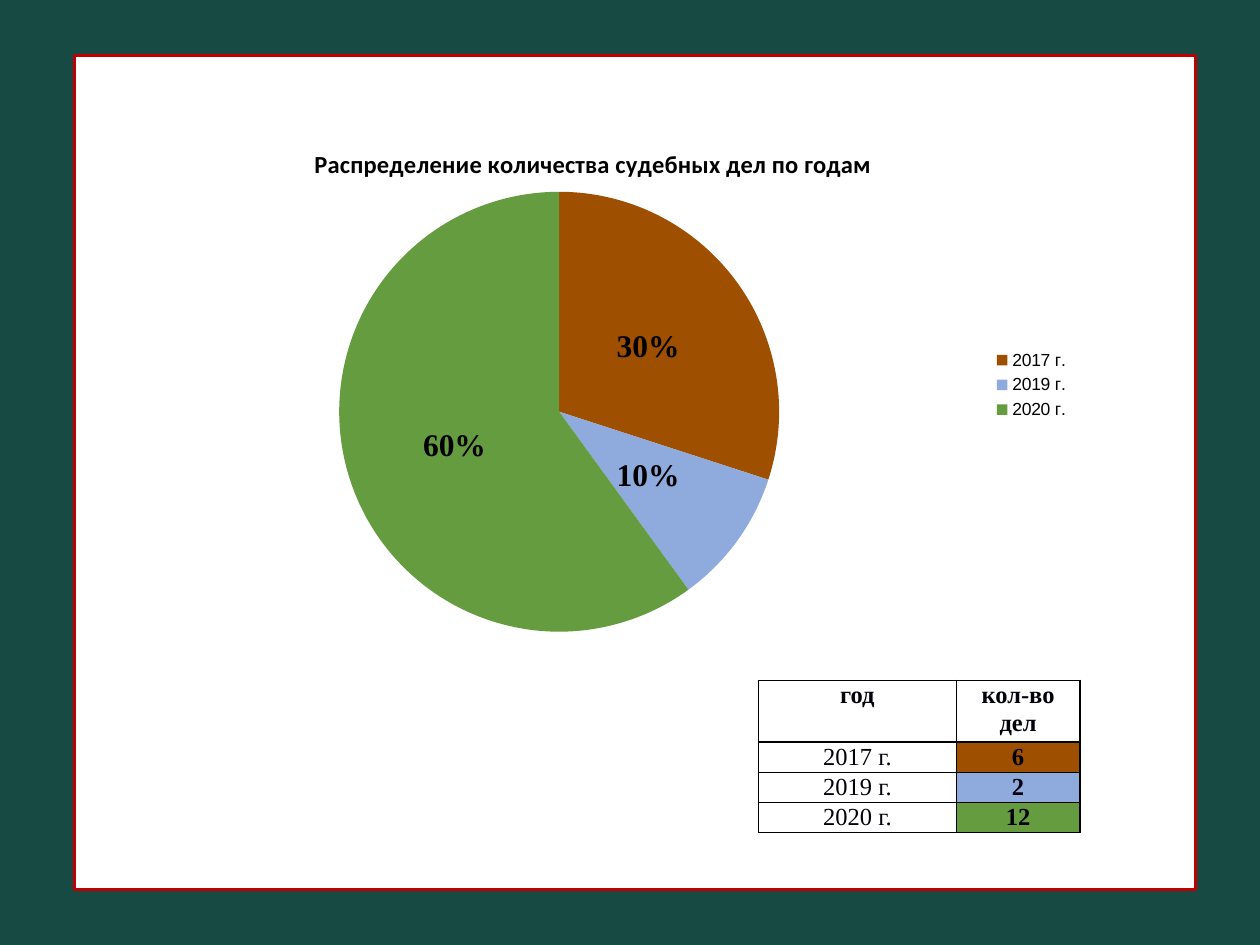
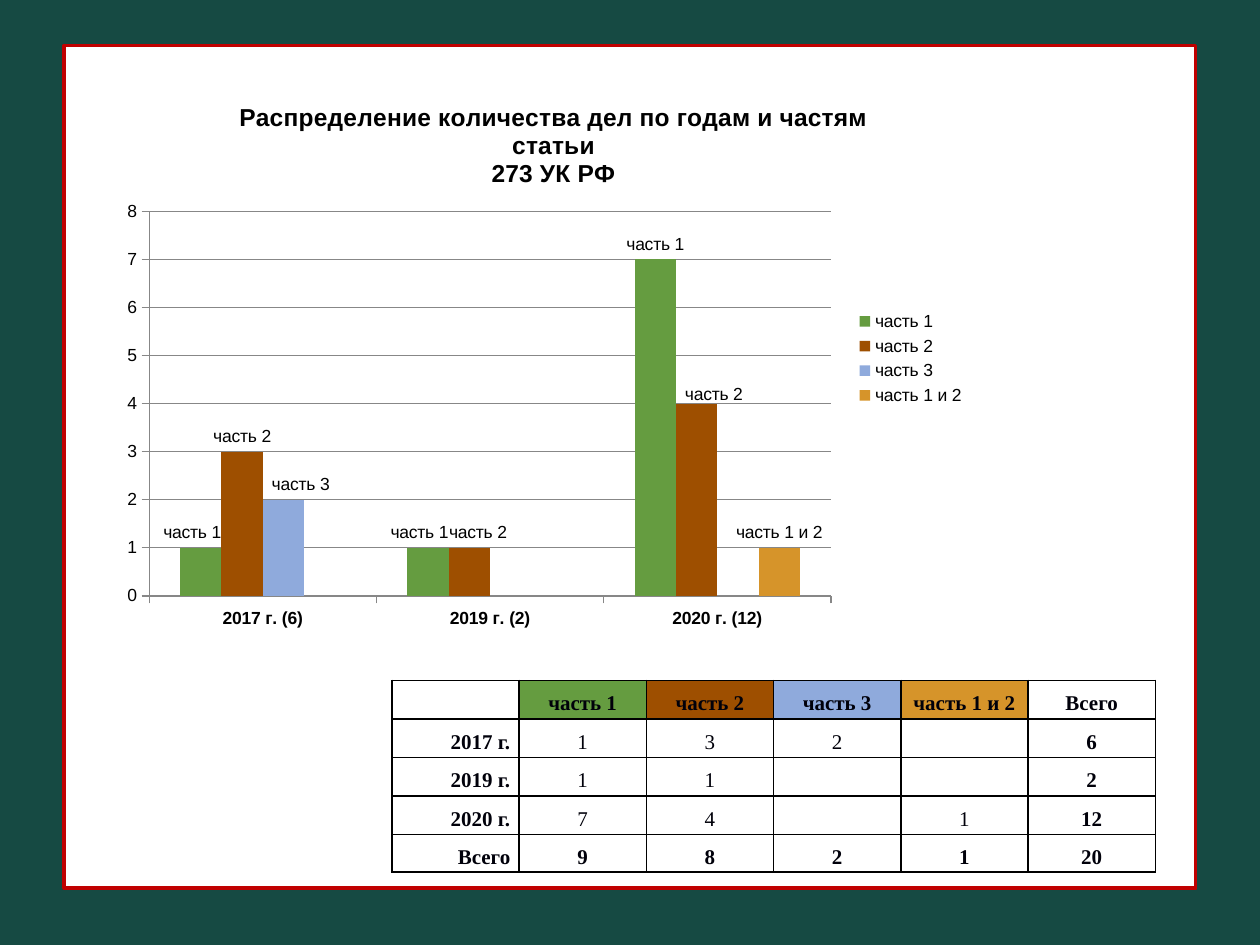
from dataclasses import dataclass

from lxml import etree
from pptx import Presentation
from pptx.chart.data import CategoryChartData
from pptx.dml.color import RGBColor
from pptx.enum import chart as ch, shapes, text
from pptx.oxml import ns
from pptx.util import Inches, Pt


@dataclass(frozen=True)
class Theme:
    background: str = "164A43"
    panel: str = "FFFFFF"
    frame: str = "C00000"
    ink: str = "000000"
    table_ink: str = "00000A"
    axis: str = "878787"
    brown: str = "9E4F00"
    blue: str = "8FAADC"
    green: str = "659C40"
    amber: str = "D6942A"
    sans: str = "Arial"
    title_sans: str = "Calibri"
    serif: str = "Times New Roman"
    small: int = 10
    body: int = 12
    title: int = 14
    percent: int = 18


THEME = Theme()
CENTER, RIGHT = text.PP_ALIGN.CENTER, text.PP_ALIGN.RIGHT
YEARS = ["2017 г.", "2019 г.", "2020 г."]
YEAR_COLORS = [THEME.brown, THEME.blue, THEME.green]
CASES = [6, 2, 12]
PARTS = {
    "часть 1": (THEME.green, [1, 1, 7]),
    "часть 2": (THEME.brown, [3, 1, 4]),
    "часть 3": (THEME.blue, [2, None, None]),
    "часть 1 и 2": (THEME.amber, [None, None, 1]),
}
# (part, year index): label shift as fractions of the chart's size
LABEL_SHIFTS = {
    ("часть 1", 0): (-0.01, 0), ("часть 3", 0): (0.02, 0),
    ("часть 1", 1): (-0.01, 0), ("часть 2", 1): (0.01, 0),
    ("часть 2", 2): (0.02, 0.01),
}


def rgb(value):
    return RGBColor.from_string(value)


def paint(fill, color):
    fill.solid()
    fill.fore_color.rgb = rgb(color)


def style_font(font, size, name=THEME.sans, color=THEME.ink, bold=False):
    for key, value in dict(size=Pt(size), name=name, bold=bold).items():
        setattr(font, key, value)
    font.color.rgb = rgb(color)


def add_panel_slide(prs, left, top, width, height):
    slide = prs.slides.add_slide(prs.slide_layouts[6])
    paint(slide.background.fill, THEME.background)
    panel = slide.shapes.add_shape(
        shapes.MSO_SHAPE.RECTANGLE, *map(Inches, (left, top, width, height)))
    panel.shadow.inherit = False
    paint(panel.fill, THEME.panel)
    panel.line.color.rgb = rgb(THEME.frame)
    panel.line.width = Pt(2)
    return slide


def set_layout(parent, index, **settings):
    """Replace the manual layout of a chart part; settings keep schema order."""
    for old in parent.findall(ns.qn("c:layout")):
        parent.remove(old)
    layout = etree.Element(ns.qn("c:layout"))
    manual = etree.SubElement(layout, ns.qn("c:manualLayout"))
    for key, value in settings.items():
        etree.SubElement(manual, ns.qn(f"c:{key}")).set("val", str(value))
    parent.insert(index, layout)


def add_chart(slide, kind, box, categories, series, title, title_font, title_at, plot_box):
    data = CategoryChartData()
    data.categories = categories
    for name, values in series.items():
        data.add_series(name, values)
    chart = slide.shapes.add_chart(kind, *map(Inches, box), data).chart
    style_font(chart.font, THEME.small)
    chart.has_legend = True
    chart.legend.position = ch.XL_LEGEND_POSITION.RIGHT
    chart.legend.include_in_layout = False
    chart.has_title = True
    chart.chart_title.text_frame.text = title
    for paragraph in chart.chart_title.text_frame.paragraphs:
        paragraph.alignment = CENTER
        for run in paragraph.runs:
            style_font(run.font, THEME.title, title_font, bold=True)
    heading = chart.chart_title._element
    set_layout(heading, 1, xMode="edge", yMode="edge", **dict(zip("xy", title_at)))
    set_layout(chart._chartSpace.chart.plotArea, 0, layoutTarget="inner",
               xMode="edge", yMode="edge", **dict(zip("xywh", plot_box)))
    return chart


def add_year_pie(slide):
    chart = add_chart(
        slide, ch.XL_CHART_TYPE.PIE, (0.83, 0.92, 7.76, 4.27), YEARS,
        {"Series 1": [30, 10, 60]}, "Распределение количества судебных дел по годам",
        THEME.title_sans, (0.21, 0.05), (0.24, 0.14, 0.45, 0.82))
    plot = chart.plots[0]
    for index, color in enumerate(YEAR_COLORS):
        paint(plot.series[0].points[index].format.fill, color)
    plot.has_data_labels = True
    labels = plot.data_labels
    settings = dict(show_percentage=True, show_value=False, number_format="0%",
                    number_format_is_linked=False, position=ch.XL_LABEL_POSITION.CENTER)
    for key, value in settings.items():
        setattr(labels, key, value)
    style_font(labels.font, THEME.percent, THEME.serif, bold=True)


def shift_label(series, year, shift):
    label = series.points[year].data_label
    label.position = ch.XL_LABEL_POSITION.OUTSIDE_END
    node = label._dLbl
    node.find(ns.qn("c:showVal")).set("val", "0")
    node.find(ns.qn("c:showSerName")).set("val", "1")
    set_layout(node, 1, **dict(zip("xy", shift)))


def add_part_columns(slide):
    chart = add_chart(
        slide, ch.XL_CHART_TYPE.COLUMN_CLUSTERED, (0.91, 0.6, 6.85, 4.49),
        [f"{year} ({count})" for year, count in zip(YEARS, CASES)],
        {part: values for part, (_, values) in PARTS.items()},
        "Распределение количества дел по годам и частям статьи\n273 УК РФ",
        THEME.sans, (0.14, 0.04), (0.04, 0.24, 0.79, 0.68))
    plot = chart.plots[0]
    for key, value in dict(gap_width=150, overlap=0, vary_by_categories=False).items():
        setattr(plot, key, value)
    for series in plot.series:
        paint(series.format.fill, PARTS[series.name][0])
        labels = series.data_labels
        settings = dict(show_series_name=True, show_value=False,
                        position=ch.XL_LABEL_POSITION.OUTSIDE_END)
        for key, value in settings.items():
            setattr(labels, key, value)
        style_font(labels.font, THEME.small)
        for (part, year), shift in LABEL_SHIFTS.items():
            if part == series.name:
                shift_label(series, year, shift)

    counts, years = chart.value_axis, chart.category_axis
    scale = dict(minimum_scale=0, maximum_scale=8, major_unit=1, has_major_gridlines=True)
    for key, value in scale.items():
        setattr(counts, key, value)
    for line in (counts.format.line, years.format.line, counts.major_gridlines.format.line):
        line.color.rgb = rgb(THEME.axis)
        line.width = Pt(0.75)
    for axis in (counts, years):
        axis.major_tick_mark = ch.XL_TICK_MARK.OUTSIDE
        style_font(axis.tick_labels.font, THEME.small, bold=axis is years)


def add_borders(cell):
    properties = cell._tc.get_or_add_tcPr()
    for index, side in enumerate("LRTB"):
        line = etree.Element(ns.qn(f"a:ln{side}"), w=str(Pt(1)))
        fill = etree.SubElement(line, ns.qn("a:solidFill"))
        etree.SubElement(fill, ns.qn("a:srgbClr"), val=THEME.ink)
        properties.insert(index, line)


def fill_cell(cell, value, size, spacing, align, bold, color):
    for side, margin in dict(left=0.07, right=0.07, top=0, bottom=0).items():
        setattr(cell, f"margin_{side}", Inches(margin))
    if color:
        paint(cell.fill, color)
    else:
        cell.fill.background()
    add_borders(cell)
    if value is not None:
        paragraph = cell.text_frame.paragraphs[0]
        paragraph.alignment = align
        paragraph.line_spacing = spacing
        run = paragraph.add_run()
        run.text = str(value)
        style_font(run.font, size, THEME.serif, THEME.table_ink, bold)


def add_table(slide, left, top, widths, heights, rows, size, spacing, look):
    """look(row, column) gives the alignment, boldness and fill of a cell."""
    table = slide.shapes.add_table(
        len(rows), len(widths), *map(Inches, (left, top, sum(widths), sum(heights)))).table
    table.first_row = table.horz_banding = False
    for column, width in zip(table.columns, widths):
        column.width = Inches(width)
    for r, (row, height) in enumerate(zip(rows, heights)):
        table.rows[r].height = Inches(height)
        for c, value in enumerate(row):
            fill_cell(table.cell(r, c), value, size, spacing, *look(r, c))


def add_year_table(slide):
    def look(r, c):
        return CENTER, r == 0 or c == 1, YEAR_COLORS[r - 1] if r and c else None

    rows = [("год", "кол-во дел"), *zip(YEARS, CASES)]
    add_table(slide, 6.02, 5.4, [1.57, 0.98], [0.49] + [0.24] * 3, rows,
              THEME.title, 1.05, look)


def add_part_table(slide):
    colors = [color for color, _ in PARTS.values()]
    columns = [values for _, values in PARTS.values()]
    totals = [sum(filter(None, values)) for values in columns]
    rows = [[None, *PARTS, "Всего"]]
    rows += [[year, *counts, total] for year, *counts, total in zip(YEARS, *columns, CASES)]
    rows.append(["Всего", *totals, sum(CASES)])
    last_row, last_column = len(rows) - 1, len(rows[0]) - 1

    def look(r, c):
        edge = r in (0, last_row) or c in (0, last_column)
        color = colors[c - 1] if r == 0 and 0 < c < last_column else None
        return RIGHT if c == 0 else CENTER, edge, color

    add_table(slide, 3.11, 5.4, [1.01] * 6, [0.3] * 5, rows, THEME.body, 1.5, look)


def main():
    prs = Presentation()
    prs.slide_width, prs.slide_height = Inches(10), Inches(7.5)

    by_year = add_panel_slide(prs, 0.59, 0.44, 8.9, 6.62)
    add_year_pie(by_year)
    add_year_table(by_year)

    by_part = add_panel_slide(prs, 0.51, 0.36, 8.98, 6.69)
    add_part_columns(by_part)
    add_part_table(by_part)

    prs.save("out.pptx")


if __name__ == "__main__":
    main()
